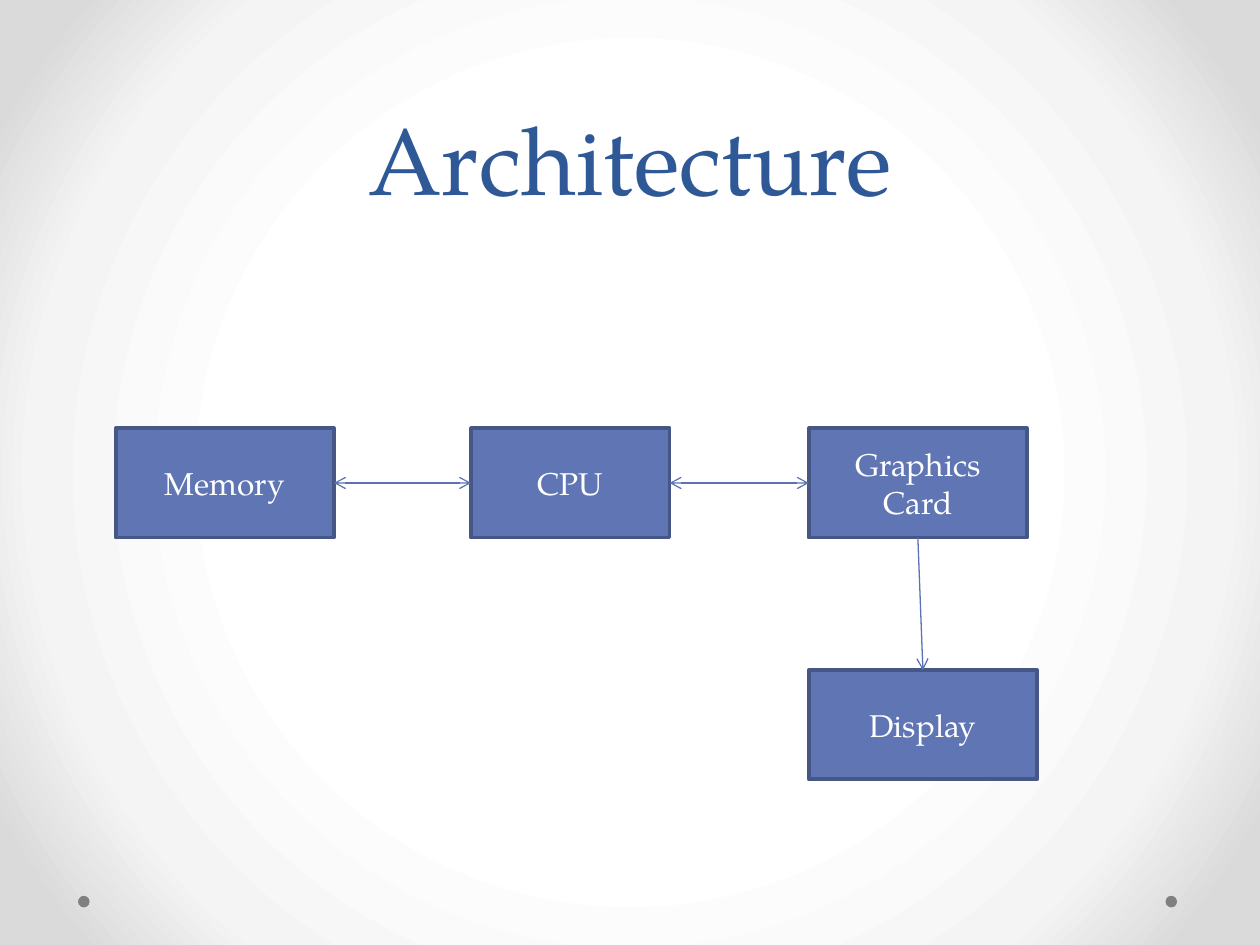
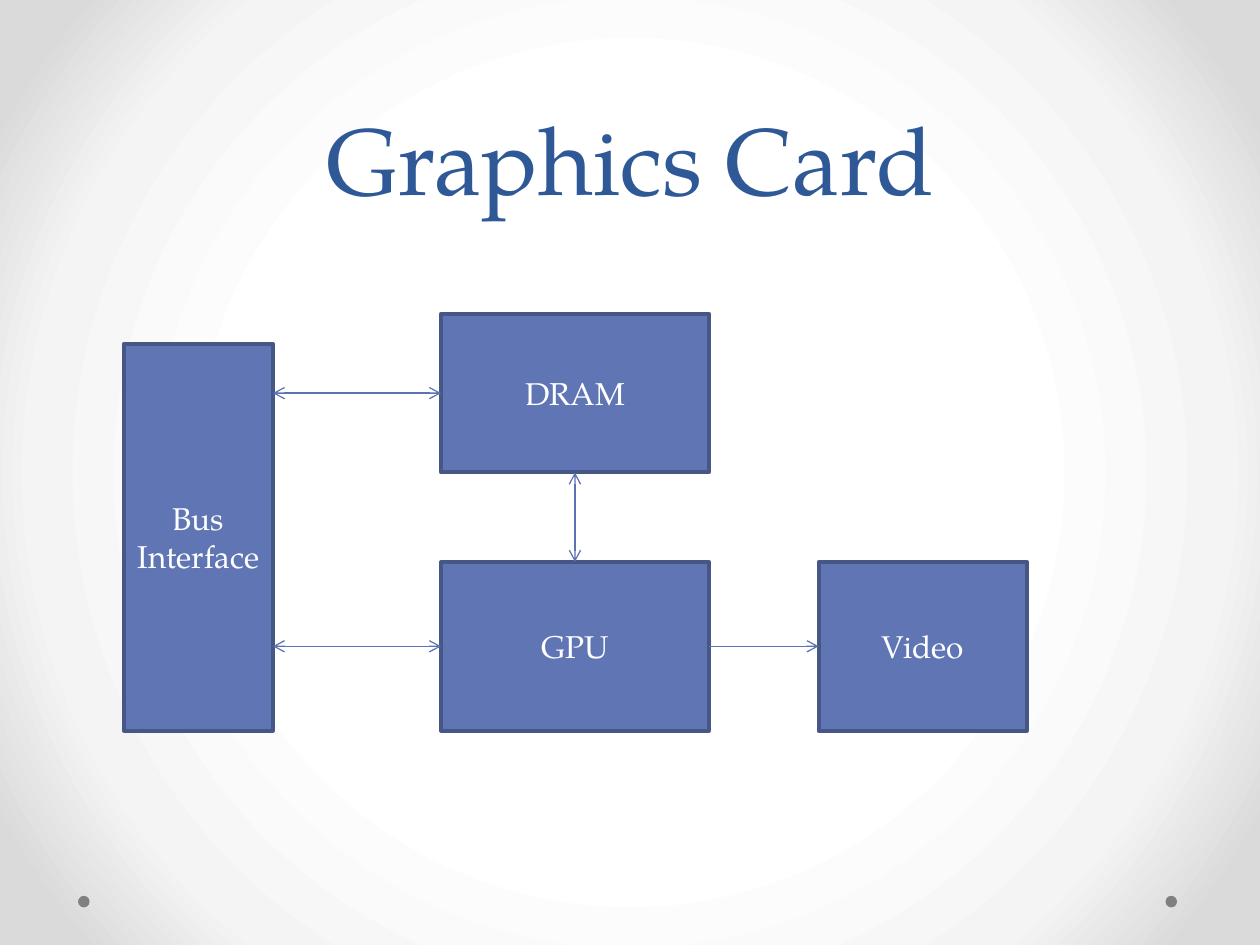
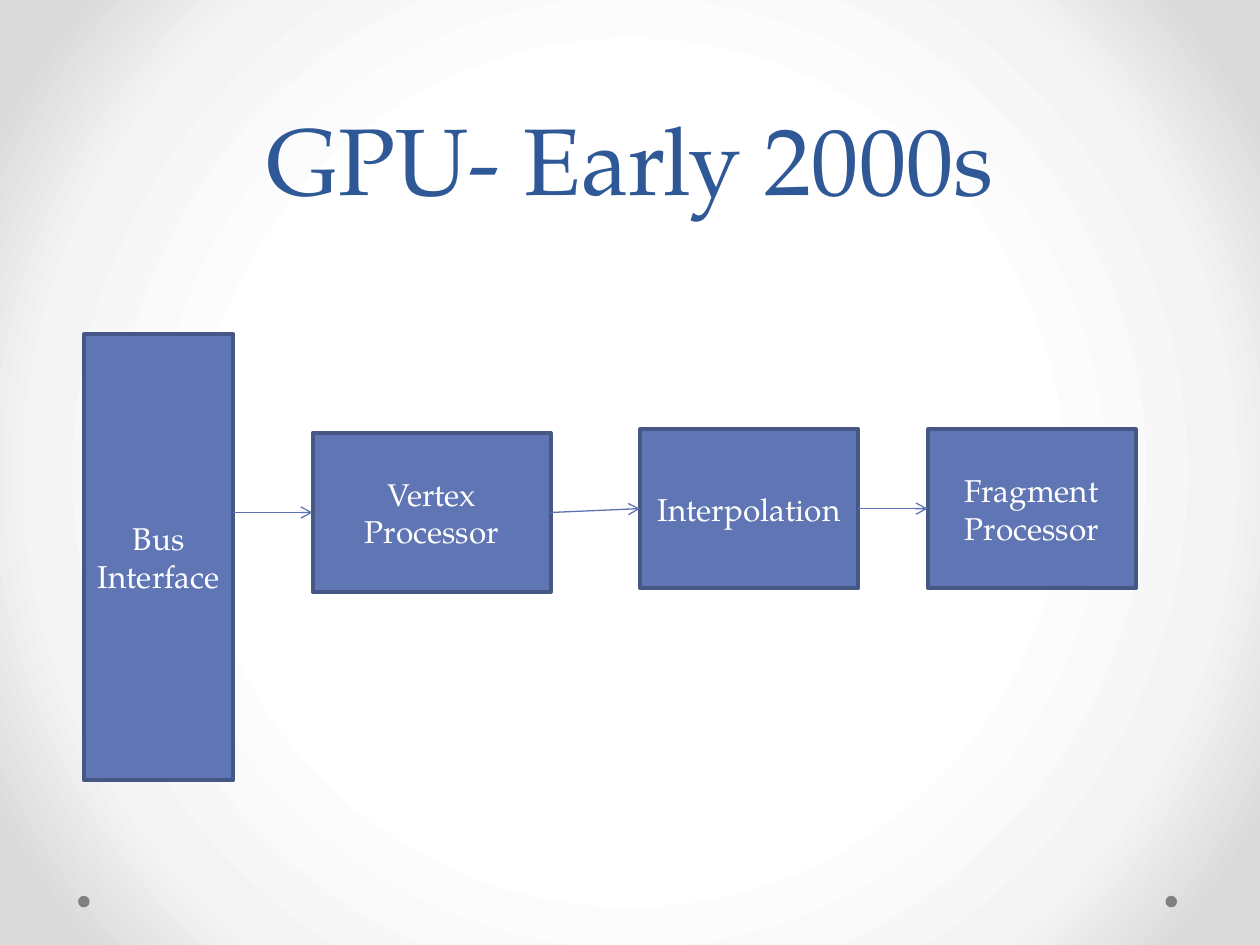
from pptx import Presentation
from pptx.dml.color import RGBColor
from pptx.enum.shapes import MSO_CONNECTOR, MSO_SHAPE
from pptx.enum.text import MSO_ANCHOR, PP_ALIGN
from pptx.oxml import parse_xml
from pptx.oxml.ns import nsdecls, qn
from pptx.util import Pt

FONT = "TeX Gyre Pagella"
NAVY = RGBColor(0x2F, 0x58, 0x97)
BLUE = RGBColor(0x60, 0x76, 0xB4)
EDGE = RGBColor(0x47, 0x57, 0x85)
WIRE = RGBColor(0x5C, 0x72, 0xB2)
GREY = RGBColor(0x80, 0x80, 0x80)
WHITE = RGBColor(0xFF, 0xFF, 0xFF)
GLOW = [(50, "FFFFFF"), (76, "F4F4F4"), (92, "DADADA")]
DOTS = [666, 44.6]
TOP, LEFT, BOTTOM, RIGHT = range(4)

# Boxes: label -> left, top, width, height
# Links: start, side, end, side, two-way; side None means level with the end
SLIDES = [
    {
        "title": "Architecture",
        "boxes": {
            "Memory": (66.2, 244.8, 124.6, 62.4),
            "CPU": (269.2, 244.8, 113.4, 62.4),
            "Graphics\nCard": (462.2, 244.8, 124.6, 62.4),
            "Display": (462.2, 383, 130.4, 62.4),
        },
        "links": [
            ("Graphics\nCard", BOTTOM, "Display", TOP, False),
            ("Memory", RIGHT, "CPU", LEFT, True),
            ("CPU", RIGHT, "Graphics\nCard", LEFT, True),
        ],
    },
    {
        "title": "Graphics Card",
        "boxes": {
            "Bus\nInterface": (70.9, 196.4, 85.04, 221.1),
            "GPU": (252, 321.1, 153.1, 96.4),
            "DRAM": (252, 179.3, 153.1, 90.7),
            "Video": (467.8, 321.1, 119, 96.4),
        },
        "links": [
            ("Bus\nInterface", None, "GPU", LEFT, True),
            ("Bus\nInterface", None, "DRAM", LEFT, True),
            ("DRAM", BOTTOM, "GPU", TOP, True),
            ("GPU", RIGHT, "Video", LEFT, False),
        ],
    },
    {
        "title": "GPU- Early 2000s",
        "boxes": {
            "Bus\nInterface": (48.2, 190.8, 85.04, 255.1),
            "Vertex\nProcessor": (178.6, 247.5, 136.1, 90.7),
            "Interpolation": (365.7, 245.3, 124.7, 90.7),
            "Fragment\nProcessor": (530.1, 245.3, 119, 90.7),
        },
        "links": [
            ("Bus\nInterface", None, "Vertex\nProcessor", LEFT, False),
            ("Vertex\nProcessor", RIGHT, "Interpolation", LEFT, False),
            ("Interpolation", RIGHT, "Fragment\nProcessor", LEFT, False),
        ],
    },
]


def set_glow(master):
    """Give the master its round grey gradient."""
    master.background.fill.gradient()
    old = master.element.find(".//" + qn("p:bgPr")).find(qn("a:gradFill"))
    stops = "".join(
        f'<a:gs pos="{pos * 1000}"><a:srgbClr val="{tint}"/></a:gs>'
        for pos, tint in GLOW)
    new = parse_xml(
        f'<a:gradFill {nsdecls("a")} rotWithShape="1"><a:gsLst>{stops}</a:gsLst>'
        '<a:path path="circle"><a:fillToRect l="50000" t="50000" r="50000" '
        'b="50000"/></a:path></a:gradFill>')
    old.getparent().replace(old, new)


def add_shape(slide, kind, spot, fill):
    shape = slide.shapes.add_shape(kind, *map(Pt, spot))
    shape.shadow.inherit = False
    shape.fill.solid()
    shape.fill.fore_color.rgb = fill
    shape.line.fill.background()
    return shape


def set_text(shape, text, size, color, anchor):
    frame = shape.text_frame
    frame.word_wrap = True
    frame.vertical_anchor = anchor
    frame.text = text
    for para in frame.paragraphs:
        para.alignment = PP_ALIGN.CENTER
        para.font.name = FONT
        para.font.size = Pt(size)
        para.font.color.rgb = color


def add_base(slide, title):
    for left in DOTS:
        add_shape(slide, MSO_SHAPE.OVAL, (left, 511.9, 6.6, 6.6), GREY)
    box = slide.shapes.add_textbox(Pt(36), Pt(0), Pt(648), Pt(126))
    set_text(box, title, 54, NAVY, MSO_ANCHOR.BOTTOM)
    box.text_frame.paragraphs[0].line_spacing = Pt(58)


def add_box(slide, label, spot):
    box = add_shape(slide, MSO_SHAPE.RECTANGLE, spot, BLUE)
    box.line.color.rgb = EDGE
    box.line.width = Pt(2.25)
    set_text(box, label, 18, WHITE, MSO_ANCHOR.MIDDLE)
    return box


def add_link(slide, start, out, end, into, both):
    edge = start.left + start.width
    level = end.top + end.height // 2
    link = slide.shapes.add_connector(
        MSO_CONNECTOR.STRAIGHT, edge, level, end.left, level)
    if out is not None:
        link.begin_connect(start, out)
    link.end_connect(end, into)
    link.line.color.rgb = WIRE
    link.line.width = Pt(0.75)
    # Arrowheads, then no shadow
    line = link.line._get_or_add_ln()
    for tag in ["headEnd", "tailEnd"] if both else ["tailEnd"]:
        line.append(parse_xml(f'<a:{tag} {nsdecls("a")} type="arrow"/>'))
    line.getparent().append(parse_xml(f'<a:effectLst {nsdecls("a")}/>'))


def main():
    deck = Presentation()
    deck.slide_width, deck.slide_height = Pt(720), Pt(540)
    set_glow(deck.slide_master)
    for page in SLIDES:
        slide = deck.slides.add_slide(deck.slide_layouts[6])
        add_base(slide, page["title"])
        boxes = {label: add_box(slide, label, spot)
                 for label, spot in page["boxes"].items()}
        for start, out, end, into, both in page["links"]:
            add_link(slide, boxes[start], out, boxes[end], into, both)
    deck.save("out.pptx")


if __name__ == "__main__":
    main()
